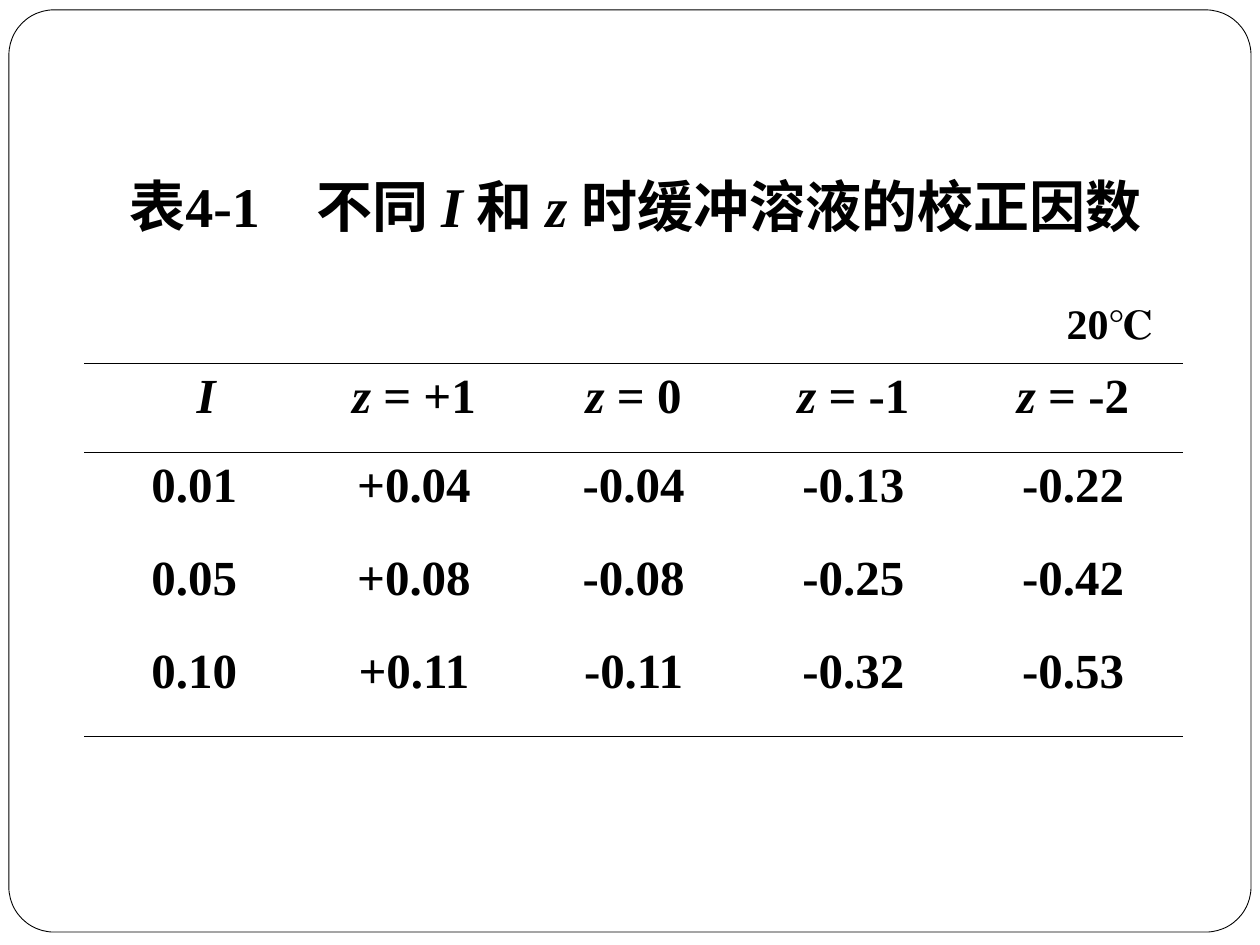
from lxml.etree import SubElement
from pptx import Presentation
from pptx.dml.color import RGBColor
from pptx.enum.shapes import MSO_SHAPE
from pptx.enum.text import MSO_ANCHOR, MSO_AUTO_SIZE, PP_ALIGN
from pptx.oxml.ns import qn
from pptx.util import Cm, Pt

BLACK = RGBColor(0, 0, 0)
WHITE = RGBColor(255, 255, 255)
FONT = "Times New Roman"
RULE_WIDTH = Pt(0.45)

TITLE = [("表4-1　不同 ", False), ("I ", True), ("和 ", False),
         ("z ", True), ("时缓冲溶液的校正因数", False)]
HEADER = [[("I", True)]] + [[("z ", True), (f"= {charge}", False)]
                            for charge in ("+1", "0", "-1", "-2")]
FACTORS = [
    ["0.01", "+0.04", "-0.04", "-0.13", "-0.22"],
    ["0.05", "+0.08", "-0.08", "-0.25", "-0.42"],
    ["0.10", "+0.11", "-0.11", "-0.32", "-0.53"],
]
ROW_HEIGHTS = [1.8, 1.88, 1.88, 1.96]


def write_text(text_frame, runs, size):
    """Fill the first paragraph with (text, italic) runs, bold and centred."""
    paragraph = text_frame.paragraphs[0]
    paragraph.alignment = PP_ALIGN.CENTER
    font = paragraph.font
    font.name, font.size, font.bold = FONT, Pt(size), True
    font.color.rgb = BLACK
    for text, italic in runs:
        run = paragraph.add_run()
        run.text = text
        if italic:
            run.font.italic = True


def set_borders(cell, ruled_sides):
    """Rule the given sides ("T", "B") and clear the others."""
    properties = cell._tc.get_or_add_tcPr()
    for index, side in enumerate("LRTB"):
        line = SubElement(properties, qn(f"a:ln{side}"))
        if side in ruled_sides:
            line.set("w", str(RULE_WIDTH))
            fill = SubElement(line, qn("a:solidFill"))
            SubElement(fill, qn("a:srgbClr")).set("val", str(BLACK))
        else:
            SubElement(line, qn("a:noFill"))
        properties.insert(index, line)


def add_frame(slide):
    frame = slide.shapes.add_shape(MSO_SHAPE.ROUNDED_RECTANGLE,
                                   Cm(0.18), Cm(0.2), Cm(25.04), Cm(18.59))
    frame.adjustments[0] = 0.049
    frame.shadow.inherit = False
    frame.fill.solid()
    frame.fill.fore_color.rgb = WHITE
    frame.line.color.rgb = BLACK
    frame.line.width = Pt(0.5)
    slide.shapes._spTree.insert(2, frame._element)  # behind the title


def set_title(slide):
    title = slide.shapes.title
    title.left, title.top = Cm(2.11), Cm(3.33)
    title.width, title.height = Cm(21.41), Cm(2.97)
    text_frame = title.text_frame
    text_frame.auto_size = MSO_AUTO_SIZE.NONE
    text_frame.vertical_anchor = MSO_ANCHOR.TOP
    write_text(text_frame, TITLE, 32)


def add_temperature(slide):
    box = slide.shapes.add_textbox(Cm(20.9), Cm(5.87), Cm(3), Cm(1.27))
    box.text_frame.word_wrap = True
    write_text(box.text_frame, [("20℃", False)], 24)


def add_factor_table(slide):
    rows = HEADER, *([[(value, False)] for value in row] for row in FACTORS)
    table = slide.shapes.add_table(len(rows), len(HEADER), Cm(1.7), Cm(7.32),
                                   Cm(22.15), Cm(sum(ROW_HEIGHTS))).table
    table.first_row = table.horz_banding = False
    for row, height in zip(table.rows, ROW_HEIGHTS):
        row.height = Cm(height)
    rules = ["TB", "T", "", "B"]
    for row, contents, ruled_sides in zip(table.rows, rows, rules):
        for cell, runs in zip(row.cells, contents):
            cell.fill.background()
            set_borders(cell, ruled_sides)
            write_text(cell.text_frame, runs, 28)
    table.cell(0, 0).margin_left = Cm(0.74)


def main():
    presentation = Presentation()
    presentation.slide_width, presentation.slide_height = Cm(25.4), Cm(19.05)
    slide = presentation.slides.add_slide(presentation.slide_layouts[5])
    add_frame(slide)
    add_factor_table(slide)
    set_title(slide)
    add_temperature(slide)
    presentation.save("out.pptx")


if __name__ == "__main__":
    main()
